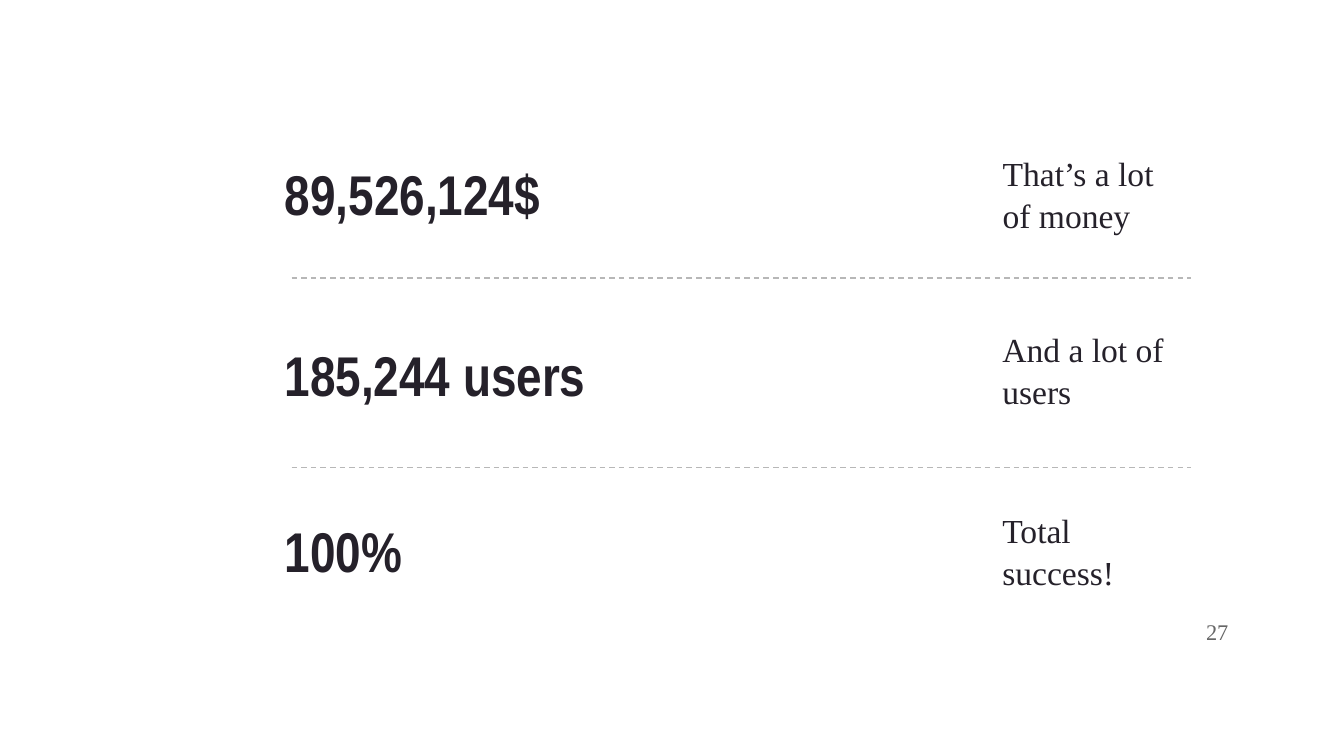
from lxml import etree
from pptx import Presentation
from pptx.dml.color import RGBColor
from pptx.enum.dml import MSO_LINE
from pptx.enum.shapes import MSO_CONNECTOR
from pptx.enum.text import MSO_ANCHOR, MSO_AUTO_SIZE, PP_ALIGN
from pptx.oxml.ns import qn
from pptx.util import Pt


def color(hex_value):
    return RGBColor.from_string(hex_value)


def write(shape, box, text, font_name, size, hex_value, bold=False,
          align=PP_ALIGN.LEFT, before=0, spacing=1.0):
    shape.left, shape.top, shape.width, shape.height = [Pt(v) for v in box]
    frame = shape.text_frame
    frame.text = text
    frame.word_wrap = True
    frame.auto_size = MSO_AUTO_SIZE.NONE
    frame.vertical_anchor = MSO_ANCHOR.MIDDLE
    frame.margin_left = frame.margin_right = Pt(7.2)
    frame.margin_top = frame.margin_bottom = Pt(7.2)
    paragraph = frame.paragraphs[0]
    paragraph.alignment = align
    paragraph.space_before = Pt(before)
    paragraph.line_spacing = spacing
    font = paragraph.runs[0].font
    font.name, font.size, font.bold = font_name, Pt(size), bold
    font.color.rgb = color(hex_value)


prs = Presentation()
prs.slide_width, prs.slide_height = Pt(720), Pt(405)
slide = prs.slides.add_slide(prs.slide_layouts[0])
shapes = slide.shapes
slide.background.fill.solid()
slide.background.fill.fore_color.rgb = color("FFFFFF")

# Big figures with their comments; the first row fills the placeholders
rows = [
    ("89,526,124$", 69.8, "That’s a lot of money", 85),
    ("185,244 users", 167, "And a lot of users", 179.3),
    ("100%", 261.4, "Total success!", 276.5),
]
for index, (figure, figure_top, comment, comment_top) in enumerate(rows):
    if index == 0:
        figure_box, comment_box = shapes.title, slide.placeholders[1]
    else:
        figure_box = shapes.add_textbox(0, 0, 0, 0)
        comment_box = shapes.add_textbox(0, 0, 0, 0)
    write(figure_box, (145.4, figure_top, 472.3, 67), figure,
          "Arial Narrow", 30, "25212A", bold=True)
    write(comment_box, (529.9, comment_top, 105.1, 36.7), comment,
          "Times New Roman", 18, "25212A", before=6, spacing=1.05)

# Page number
page_number = shapes.add_textbox(0, 0, 0, 0)
write(page_number, (622, 322.6, 43.2, 31), "27", "Times New Roman", 12,
      "666666", align=PP_ALIGN.RIGHT)

# Dashed dividers between the rows
for y in (149, 250.4):
    divider = shapes.add_connector(MSO_CONNECTOR.STRAIGHT,
                                   Pt(156.2), Pt(y), Pt(638), Pt(y))
    divider.line.color.rgb = color("B7B7B7")
    divider.line.width = Pt(0.75)
    divider.line.dash_style = MSO_LINE.DASH
    etree.SubElement(divider._element.spPr, qn("a:effectLst"))

prs.save("out.pptx")
